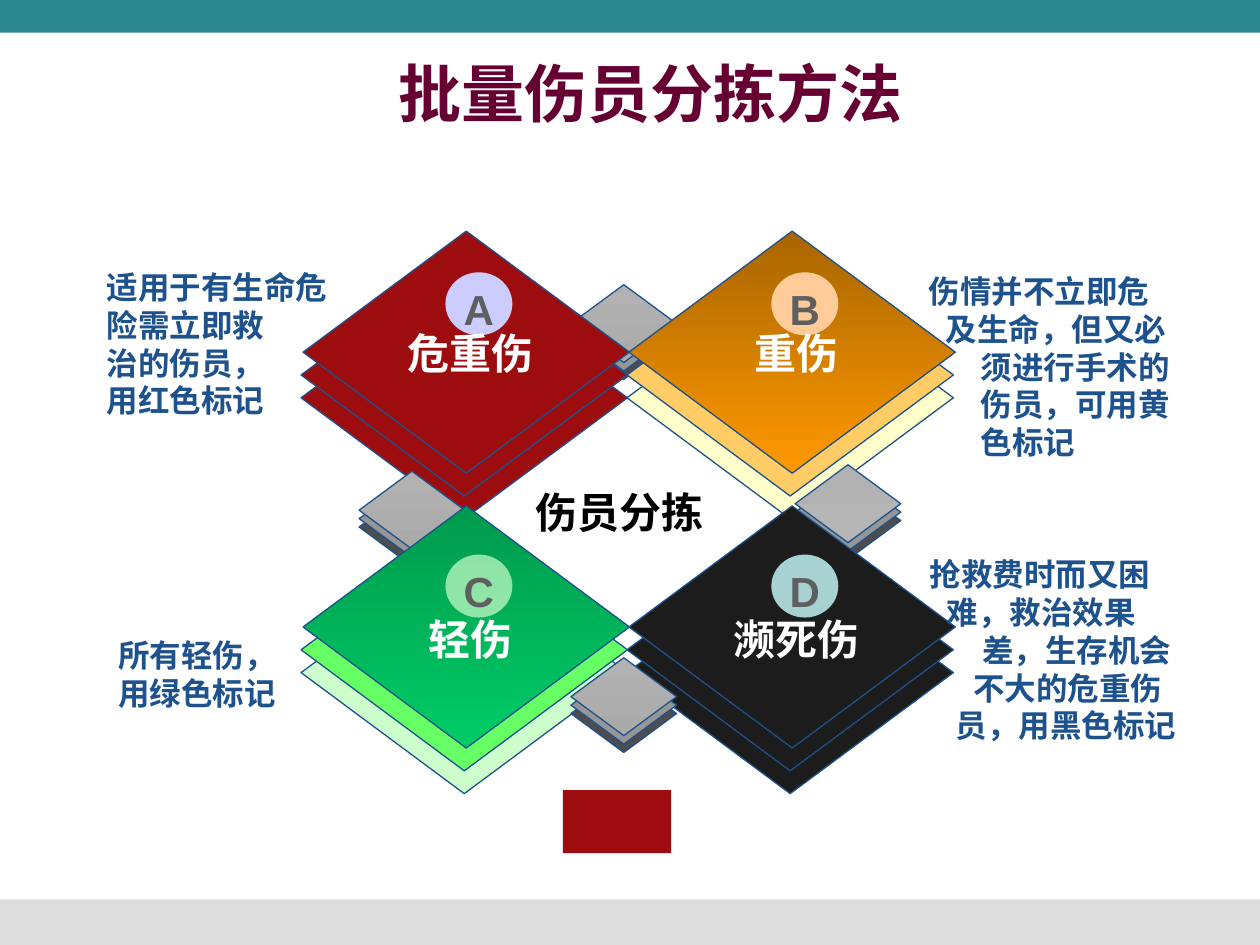
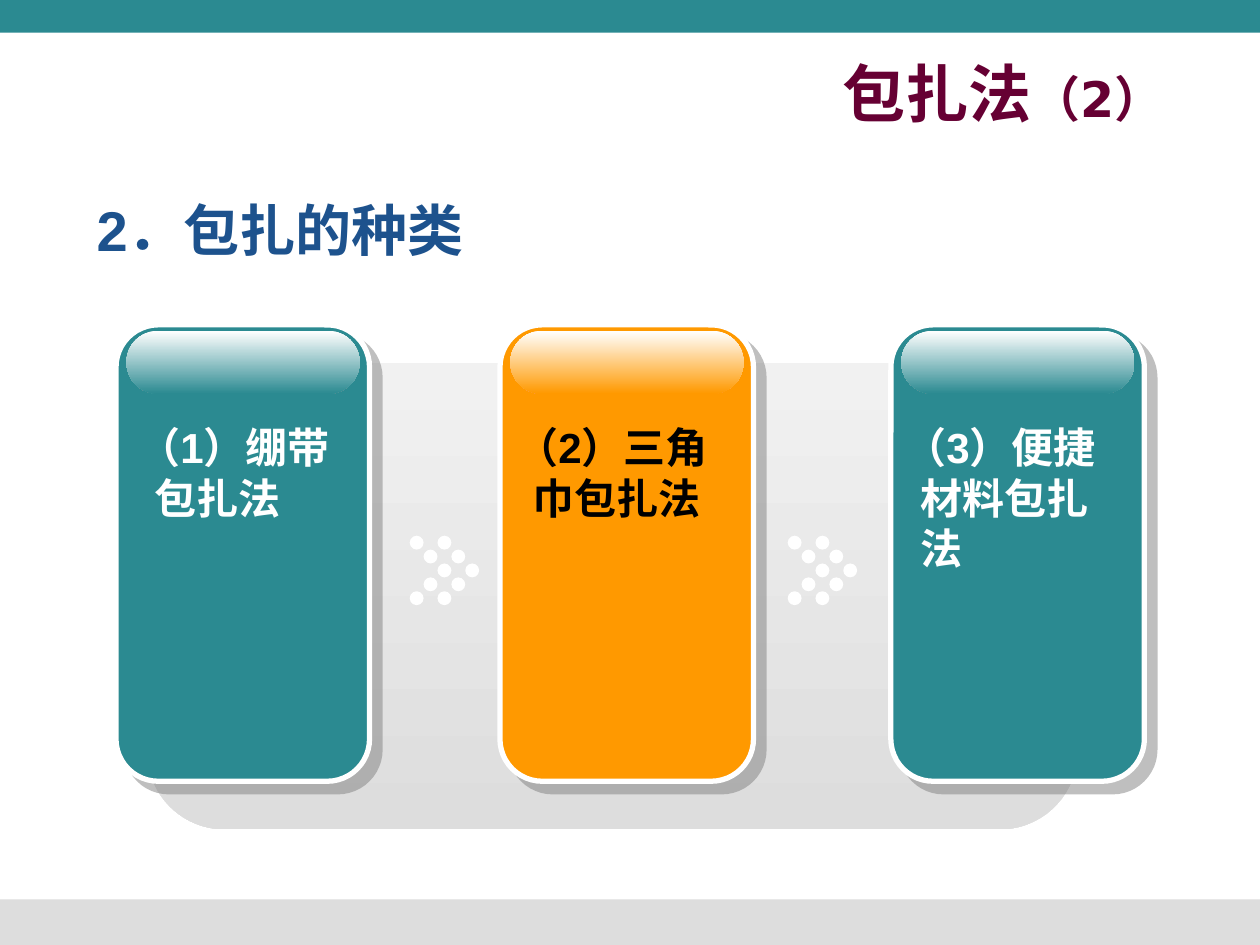
from lxml import etree
from pptx import Presentation
from pptx.dml.color import RGBColor
from pptx.enum.shapes import MSO_SHAPE
from pptx.enum.text import MSO_ANCHOR, MSO_AUTO_SIZE, PP_ALIGN
from pptx.oxml import parse_xml
from pptx.oxml.ns import nsdecls, qn
from pptx.util import Cm, Pt

RECTANGLE, ROUNDED = MSO_SHAPE.RECTANGLE, MSO_SHAPE.ROUNDED_RECTANGLE
DIAMOND, OVAL = MSO_SHAPE.DIAMOND, MSO_SHAPE.OVAL
LEFT, CENTER, RIGHT = PP_ALIGN.LEFT, PP_ALIGN.CENTER, PP_ALIGN.RIGHT

WHITE = RGBColor(0xFF, 0xFF, 0xFF)
BLACK = RGBColor(0x00, 0x00, 0x00)
TEAL = RGBColor(0x2B, 0x8A, 0x91)
ORANGE = RGBColor(0xFF, 0x99, 0x00)
BROWN = RGBColor(0xA8, 0x65, 0x00)
AMBER = RGBColor(0xFF, 0xCC, 0x66)
CREAM = RGBColor(0xFF, 0xFF, 0xCC)
RED = RGBColor(0x9D, 0x0D, 0x10)
COAL = RGBColor(0x1C, 0x1C, 0x1C)
DARK_GREEN = RGBColor(0x00, 0x9A, 0x4D)
GREEN = RGBColor(0x00, 0xCC, 0x66)
BRIGHT_GREEN = RGBColor(0x66, 0xFF, 0x66)
PALE_GREEN = RGBColor(0xCC, 0xFF, 0xCC)
LILAC = RGBColor(0xCC, 0xCC, 0xFF)
PEACH = RGBColor(0xFF, 0xCC, 0x99)
PALE_CYAN = RGBColor(0xCC, 0xFF, 0xFF)
BLUE = RGBColor(0x1D, 0x52, 0x8D)
MAROON = RGBColor(0x66, 0x00, 0x33)
LETTER_GRAY = RGBColor(0x5F, 0x5F, 0x5F)
SLATE = RGBColor(0x4D, 0x4D, 0x4D)
MID_GRAY = RGBColor(0x96, 0x96, 0x96)
SILVER = RGBColor(0xB2, 0xB2, 0xB2)
SILVER_DARK = RGBColor(0xAA, 0xAA, 0xAA)
SILVER_LIGHT = RGBColor(0xB6, 0xB6, 0xB6)
BAND_GRAY = RGBColor(0xDD, 0xDD, 0xDD)
MIST = RGBColor(0xF1, 0xF1, 0xF1)

TITLE_FONT, TEXT_FONT = "DejaVu Sans", "Arial"
SLIDE_WIDTH, SLIDE_HEIGHT = 25.4, 19.05

# Slide 1: a 2 x 2 grid of triage levels joined by small gray stacks.
TRIAGE_TITLE = [("批量伤员分拣方法", 36)]
COLUMNS = (6.11, 12.68)
ROWS = (  # tops of front diamond, badge and label
    (4.66, 5.49, 6.48),
    (10.2, 11.18, 12.24),
)
LEVELS = {  # letter: label, column, row, layers front to back, badge, opacity
    "A": ("危重伤", 0, 0, (RED, RED, RED), LILAC, 100),
    "B": ("重伤", 1, 0, ((BROWN, ORANGE), AMBER, CREAM), PEACH, 100),
    "C": ("轻伤", 0, 1, ((DARK_GREEN, GREEN), BRIGHT_GREEN, PALE_GREEN),
          PALE_GREEN, 70),
    "D": ("濒死伤", 1, 1, (COAL, COAL, COAL), PALE_CYAN, 80),
}
GRAY_STACK = ((SILVER, SILVER_DARK), MID_GRAY, SLATE)
CONNECTORS = {  # left, top, layers
    "top": (11.51, 5.74, GRAY_STACK),
    "right": (16.03, 9.37, ((SILVER, SILVER_LIGHT), MID_GRAY, SLATE)),
    "left": (7.24, 9.5, GRAY_STACK),
    "bottom": (11.51, 13.26, GRAY_STACK),
}
STACK_ORDER = ("top", "B", "A", "right", "D", "left", "C", "bottom")
NOTES = [  # box, then (line, indent)
    ((18.29, 5.36, 5.64, 4.06),
     [("伤情并不立即危", 0.18), ("及生命，但又必", 0.53),
      ("须进行手术的", 1.23), ("伤员，可用黄", 1.23), ("色标记", 1.23)]),
    ((18.49, 11.07, 5.64, 4.06),
     [("抢救费时而又困", 0), ("难，救治效果", 0.35), ("差，生存机会", 1.06),
      ("不大的危重伤", 0.88), ("员，用黑色标记", 0.53)]),
    ((1.9, 5.28, 5.38, 3.3),
     [("适用于有生命危险需立即救", 0), ("治的伤员，", 0), ("用红色标记", 0)]),
    ((2.13, 12.7, 3.68, 1.78), [("所有轻伤，", 0), ("用绿色标记", 0)]),
]

# Slide 2: three cards on a gray panel.
BANDAGE_TITLE = [("包扎法", 36), ("（2）", 28)]
BANDAGE_HEADING = "2．包扎的种类"
CARDS = [  # text, left of card, left of text, fill, text colour
    ("（1）绷带包扎法", 2.34, 2.54, TEAL, WHITE),
    ("（2）三角巾包扎法", 10.08, 10.16, ORANGE, BLACK),
    ("（3）便捷材料包扎法", 17.96, 17.98, TEAL, WHITE),
]
CARD_TOP, CARD_WIDTH, CARD_HEIGHT = 6.55, 5.11, 9.2
CHEVRON_LEFTS, CHEVRON_TOP, DOT = (8.26, 15.88), 10.8, 0.28


def add_block(slide, kind, box, fill, line=None, line_width=0.75):
    """Add a preset shape; fill is one colour or a (top, bottom) gradient."""
    shape = slide.shapes.add_shape(kind, *map(Cm, box))
    shape.shadow.inherit = False
    if isinstance(fill, RGBColor):
        shape.fill.solid()
        shape.fill.fore_color.rgb = fill
    else:
        shape.fill.gradient()
        shape.fill.gradient_angle = 270
        for stop, colour in zip(shape.fill.gradient_stops, fill):
            stop.color.rgb = colour
    if line is None:
        shape.line.fill.background()
    else:
        shape.line.color.rgb = line
        shape.line.width = Pt(line_width)
    return shape


def set_font(font, size, colour, name=TEXT_FONT):
    font.name, font.size, font.bold = name, Pt(size), True
    font.color.rgb = colour


def add_text(slide, box, lines, size, colour, align=LEFT, hanging=0):
    """Add a text box; lines are (text, left indent in cm)."""
    frame = slide.shapes.add_textbox(*map(Cm, box)).text_frame
    frame.word_wrap = True
    for index, (text, indent) in enumerate(lines):
        paragraph = frame.add_paragraph() if index else frame.paragraphs[0]
        paragraph.text = text
        paragraph.alignment = align
        properties = paragraph._p.get_or_add_pPr()
        properties.set("marL", str(Cm(indent)))
        properties.set("indent", str(-Cm(hanging)))
        set_font(paragraph.font, size, colour)


def set_opacity(shape, percent):
    colour = shape.element.spPr.find(qn("a:solidFill")).find(qn("a:srgbClr"))
    etree.SubElement(colour, qn("a:alpha")).set("val", str(percent * 1000))


def add_card_shadow(shape):
    effects = shape.element.spPr.find(qn("a:effectLst"))
    effects.append(parse_xml(
        f'<a:outerShdw {nsdecls("a")} blurRad="0" dist="{Pt(8.5)}" '
        'dir="2700000" algn="ctr" rotWithShape="0"><a:srgbClr val="808080">'
        '<a:alpha val="50000"/></a:srgbClr></a:outerShdw>'))


def add_slide(presentation, title_runs, title_width, align):
    slide = presentation.slides.add_slide(presentation.slide_layouts[5])
    title = slide.shapes.title
    title.left, title.top = Cm(1.47), Cm(1.07)
    title.width, title.height = Cm(title_width), Cm(1.57)
    frame = title.text_frame
    frame.auto_size = MSO_AUTO_SIZE.NONE
    frame.vertical_anchor = MSO_ANCHOR.MIDDLE
    paragraph = frame.paragraphs[0]
    paragraph.alignment = align
    for text, size in title_runs:
        run = paragraph.add_run()
        run.text = text
        set_font(run.font, size, MAROON, TITLE_FONT)
    return slide


def move_bands_to_master(presentation, slide):
    """Draw the two bands on a slide, then hand them to the master."""
    tree = presentation.slide_master.shapes.element
    for top, height, colour in ((0, 0.66, TEAL), (18.13, 0.92, BAND_GRAY)):
        band = add_block(slide, RECTANGLE, (0, top, SLIDE_WIDTH, height), colour)
        tree.insert(2, band.element)


def add_stack(slide, left, top, size, layers, step, shift=0):
    """Stack diamonds, front layer first in layers, drawn from the back."""
    for depth in reversed(range(len(layers))):
        x = left - (shift if depth else 0)
        add_block(slide, DIAMOND, (x, top + depth * step, *size),
                  layers[depth], BLUE)


def add_badge(slide, letter, left, top, colour, opacity):
    badge = add_block(slide, OVAL, (left, top, 1.35, 1.27), colour)
    if opacity < 100:
        set_opacity(badge, opacity)
    frame = badge.text_frame
    frame.word_wrap = False
    frame.vertical_anchor = MSO_ANCHOR.MIDDLE
    frame.margin_left = frame.margin_right = frame.margin_bottom = 0
    frame.margin_top = Cm(0.2)
    paragraph = frame.paragraphs[0]
    paragraph.text = letter
    paragraph.alignment = CENTER
    set_font(paragraph.font, 24, LETTER_GRAY)


def build_triage(slide):
    for name in STACK_ORDER:
        if name in CONNECTORS:
            left, top, layers = CONNECTORS[name]
            add_stack(slide, left, top, (2.13, 1.57), layers, 0.17)
        else:
            _, column, row, layers, _, _ = LEVELS[name]
            add_stack(slide, COLUMNS[column], ROWS[row][0], (6.58, 4.88),
                      layers, 0.46, 0.04)
    for letter, (label, column, row, _, colour, opacity) in LEVELS.items():
        left = COLUMNS[column]
        _, badge_top, label_top = ROWS[row]
        add_badge(slide, letter, left + 2.87, badge_top, colour, opacity)
        add_text(slide, (left + 0.87, label_top, 5, 1.27), [(label, 0)],
                 24, WHITE, CENTER)
    add_text(slide, (9.98, 9.68, 5, 1.27), [("伤员分拣", 0)], 24, BLACK, CENTER)
    for box, lines in NOTES:
        add_text(slide, box, lines, 18, BLUE)
    add_block(slide, RECTANGLE, (11.35, 15.93, 2.18, 1.27), RED)


def add_card(slide, text, left, text_left, fill, colour):
    card = add_block(slide, ROUNDED, (left, CARD_TOP, CARD_WIDTH, CARD_HEIGHT),
                     fill, WHITE, 3)
    add_card_shadow(card)
    gloss = add_block(slide, ROUNDED, (left + 0.21, CARD_TOP + 0.12, 4.7, 1.27),
                      (WHITE, fill))
    gloss.adjustments[0] = 0.5
    add_text(slide, (text_left, 8.38, 4.88, 2.29), [(text, 0.33)], 24, colour,
             hanging=0.33)


def add_chevrons(slide, left):
    """Draw two nested arrowheads made of five dots each."""
    for start in (0, 2):
        for row in range(5):
            column = start + 2 - abs(row - 2)
            box = (left + column * DOT, CHEVRON_TOP + row * DOT, DOT, DOT)
            add_block(slide, OVAL, box, WHITE)


def build_bandages(slide):
    add_block(slide, ROUNDED, (2.97, 7.32, 18.75, 9.4), (MIST, BAND_GRAY))
    for card in CARDS:
        add_card(slide, *card)
    for left in CHEVRON_LEFTS:
        add_chevrons(slide, left)
    add_text(slide, (1.7, 3.81, 13.97, 1.63), [(BANDAGE_HEADING, 0)], 32, BLUE)


def main():
    presentation = Presentation()
    presentation.slide_width = Cm(SLIDE_WIDTH)
    presentation.slide_height = Cm(SLIDE_HEIGHT)
    triage = add_slide(presentation, TRIAGE_TITLE, 23.27, CENTER)
    move_bands_to_master(presentation, triage)
    build_triage(triage)
    build_bandages(add_slide(presentation, BANDAGE_TITLE, 22.23, RIGHT))
    presentation.save("out.pptx")


if __name__ == "__main__":
    main()
